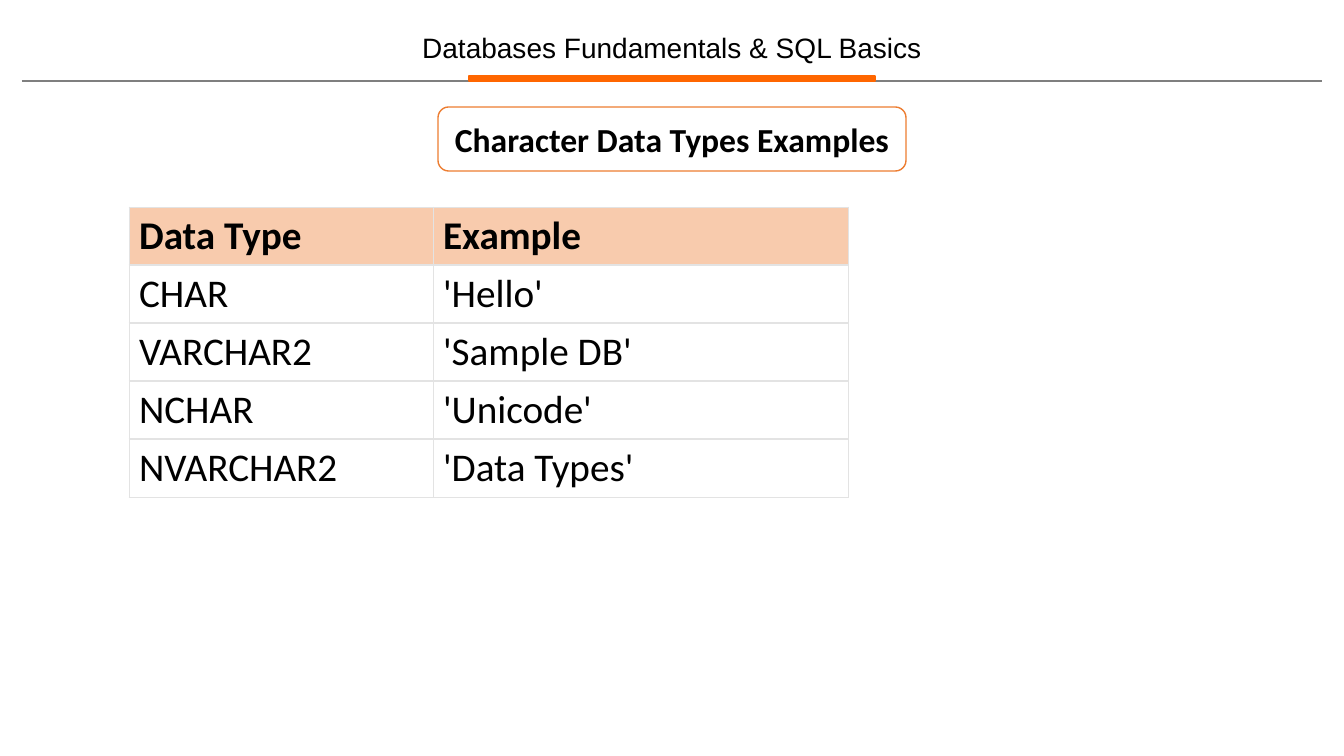
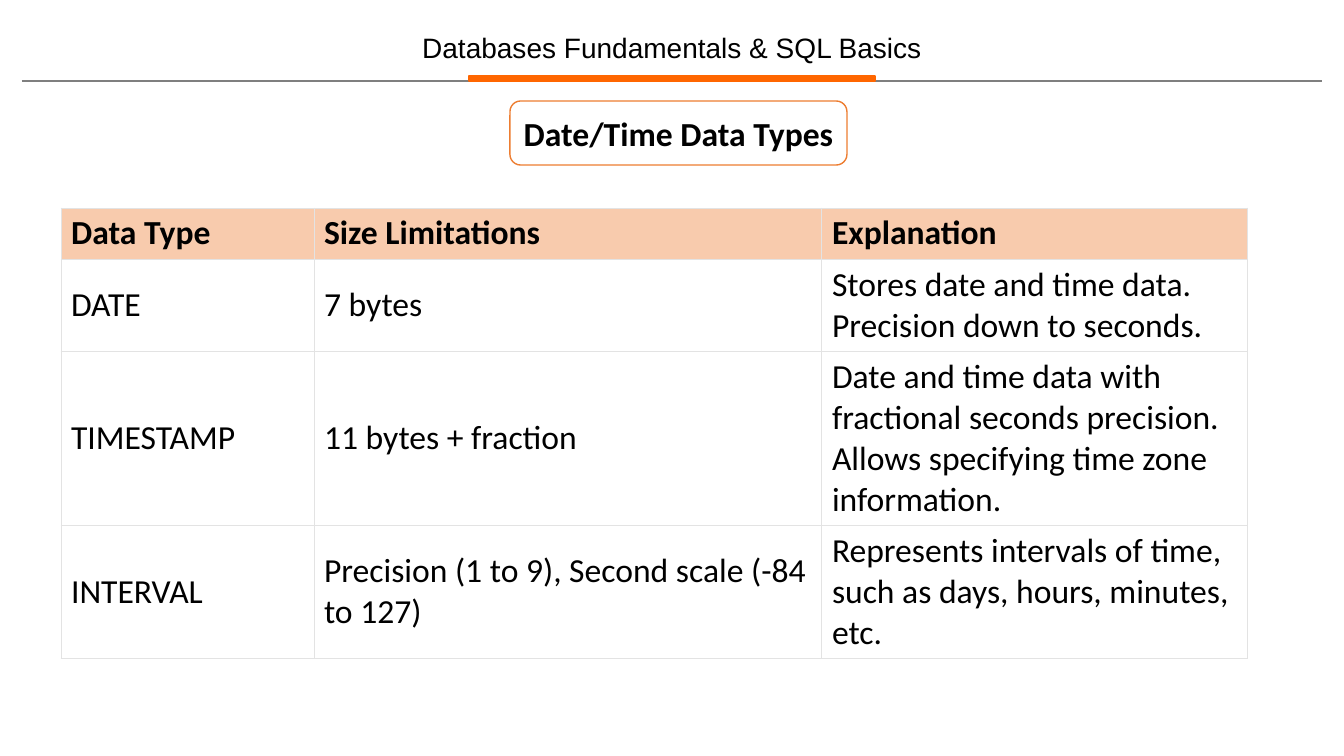
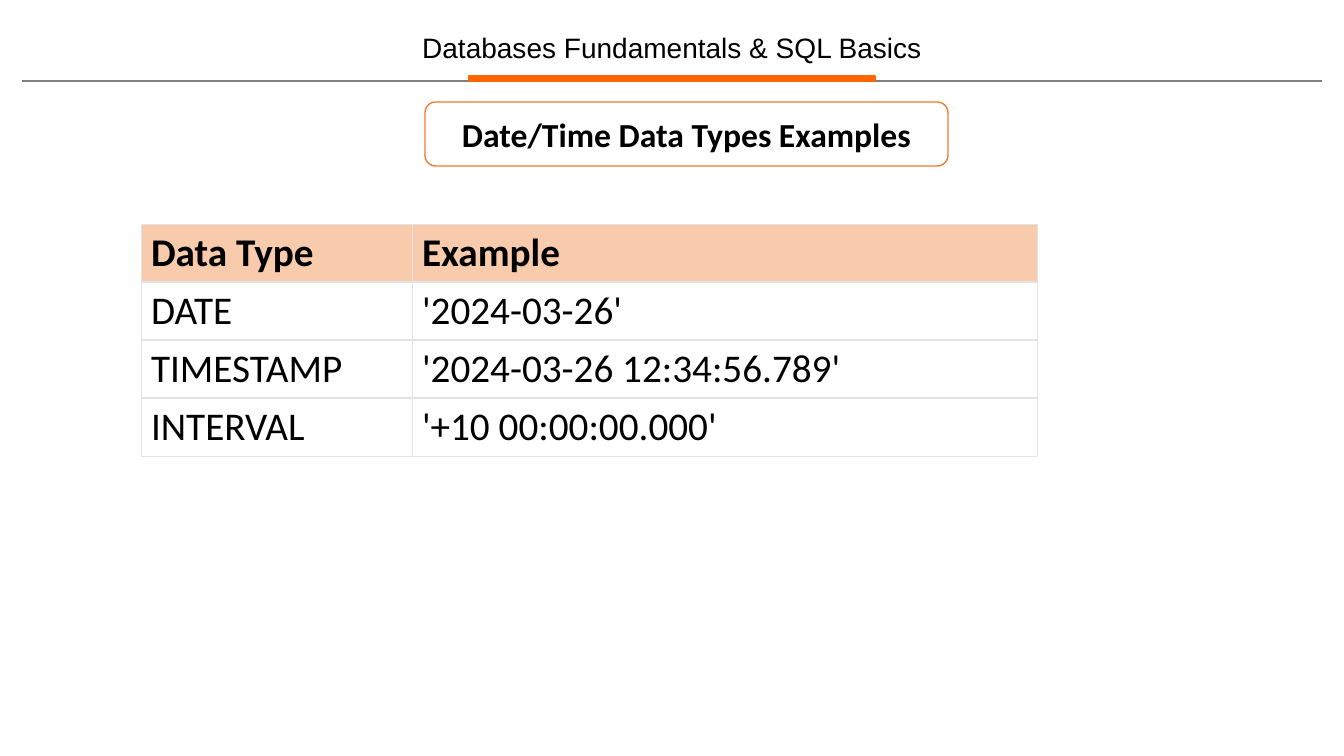
from lxml import etree
from pptx import Presentation
from pptx import util as u
from pptx.dml.color import RGBColor
from pptx.enum import shapes, text
from pptx.oxml.ns import qn

BLACK = RGBColor(0x00, 0x00, 0x00)
WHITE = RGBColor(0xFF, 0xFF, 0xFF)
ORANGE = RGBColor(0xFF, 0x66, 0x00)
BOX_LINE = RGBColor(0xED, 0x7D, 0x31)
HEAD_FILL = RGBColor(0xF8, 0xCB, 0xAD)
RULE_GREY = RGBColor(0x7F, 0x7F, 0x7F)
BORDER = RGBColor(0xE3, 0xE3, 0xE3)

SLIDE_W, SLIDE_H = 1344, 756
EMU_PER_PX = 12192000 / SLIDE_W
BOX_H = 64

# title, (left, top, width) of its box, (left, top) of the table,
# column widths, row heights, text size, rows
SLIDES = [
    ("Character Data Types Examples", (438, 107, 468), (129, 207),
     [304, 415], [58] * 5, 28,
     [["Data Type", "Example"],
      ["CHAR", "'Hello'"],
      ["VARCHAR2", "'Sample DB'"],
      ["NCHAR", "'Unicode'"],
      ["NVARCHAR2", "'Data Types'"]]),
    ("Date/Time Data Types", (510, 101, 337), (61, 208),
     [253, 508, 426], [51, 92, 174, 133], 24,
     [["Data Type", "Size Limitations", "Explanation"],
      ["DATE", "7 bytes",
       "Stores date and time data. Precision down to seconds."],
      ["TIMESTAMP", "11 bytes + fraction",
       "Date and time data with fractional seconds precision. "
       "Allows specifying time zone information."],
      ["INTERVAL", "Precision (1 to 9), Second scale (-84 to 127)",
       "Represents intervals of time, such as days, hours, minutes, etc."]]),
    ("Date/Time Data Types Examples", (425, 102, 523), (141, 224),
     [271, 625], [58] * 4, 28,
     [["Data Type", "Example"],
      ["DATE", "'2024-03-26'"],
      ["TIMESTAMP", "'2024-03-26 12:34:56.789'"],
      ["INTERVAL", "'+10 00:00:00.000'"]]),
]


def px(*lengths):
    """Turn pixel lengths into a list of EMU."""
    return [u.Emu(round(n * EMU_PER_PX)) for n in lengths]


def set_borders(cell, top, bottom):
    """Draw all four cell borders; top and bottom are widths in points."""
    tcPr = cell._tc.get_or_add_tcPr()
    for side, width in (("L", 0.75), ("R", 0.75), ("T", top), ("B", bottom)):
        ln = etree.SubElement(tcPr, qn("a:ln" + side), w=str(u.Pt(width)))
        fill = etree.SubElement(ln, qn("a:solidFill"))
        etree.SubElement(fill, qn("a:srgbClr"), val=str(BORDER))


prs = Presentation()
prs.slide_width, prs.slide_height = px(SLIDE_W, SLIDE_H)
layout = prs.slide_layouts[5]
slides = [prs.slides.add_slide(layout) for _ in SLIDES]

# Shared header: drawn once, then moved to the layout
sps = slides[0].shapes
rule = sps.add_connector(shapes.MSO_CONNECTOR.STRAIGHT, *px(22, 81, 1322, 81))
rule.line.color.rgb = RULE_GREY
rule.line.width = u.Pt(0.75)
etree.SubElement(rule.element.spPr, qn("a:effectLst"))

bar = sps.add_shape(shapes.MSO_SHAPE.RECTANGLE, *px(469, 76, 406, 5))
bar.shadow.inherit = False
bar.fill.solid()
bar.fill.fore_color.rgb = ORANGE
bar.line.color.rgb = ORANGE
bar.line.width = u.Pt(1)

header = sps.add_textbox(*px(384, 30, 576, 38))
tf = header.text_frame
tf.word_wrap = True
tf.vertical_anchor = text.MSO_ANCHOR.MIDDLE
p = tf.paragraphs[0]
p.text = "Databases Fundamentals & SQL Basics"
p.alignment = text.PP_ALIGN.CENTER
p.line_spacing = 0.9
p.font.name, p.font.size = "Arial", u.Pt(20)
p.font.color.rgb = BLACK

for sp in (rule, bar, header):
    layout.shapes.element.append(sp.element)

for s, (title, box, corner, widths, heights, size, rows) in zip(slides, SLIDES):
    frame = px(*box, BOX_H)
    sp = s.shapes.title
    sp.left, sp.top, sp.width, sp.height = frame
    tf = sp.text_frame
    tf.word_wrap = False
    tf.auto_size = text.MSO_AUTO_SIZE.NONE
    tf.vertical_anchor = text.MSO_ANCHOR.MIDDLE
    p = tf.paragraphs[0]
    p.text = title
    p.alignment = text.PP_ALIGN.CENTER
    p.font.name, p.font.size, p.font.bold = "Calibri", u.Pt(24), True
    p.font.color.rgb = BLACK

    outline = s.shapes.add_shape(shapes.MSO_SHAPE.ROUNDED_RECTANGLE, *frame)
    outline.shadow.inherit = False
    outline.fill.background()
    outline.line.color.rgb = BOX_LINE
    outline.line.width = u.Pt(1)

    table = s.shapes.add_table(len(rows), len(widths),
                               *px(*corner, sum(widths), sum(heights))).table
    for column, width in zip(table.columns, px(*widths)):
        column.width = width
    for row, height in zip(table.rows, px(*heights)):
        row.height = height
    for i, values in enumerate(rows):
        is_head, is_last = i == 0, i == len(rows) - 1
        for j, value in enumerate(values):
            cell = table.cell(i, j)
            set_borders(cell, 0.75 if is_head else 1, 0.75 if is_last else 1)
            cell.fill.solid()
            cell.fill.fore_color.rgb = HEAD_FILL if is_head else WHITE
            cell.vertical_anchor = (text.MSO_ANCHOR.BOTTOM if is_head
                                    else text.MSO_ANCHOR.MIDDLE)
            p = cell.text_frame.paragraphs[0]
            p.text = value
            p.font.name, p.font.size, p.font.bold = "Calibri", u.Pt(size), is_head
            p.font.color.rgb = BLACK

prs.save("out.pptx")
